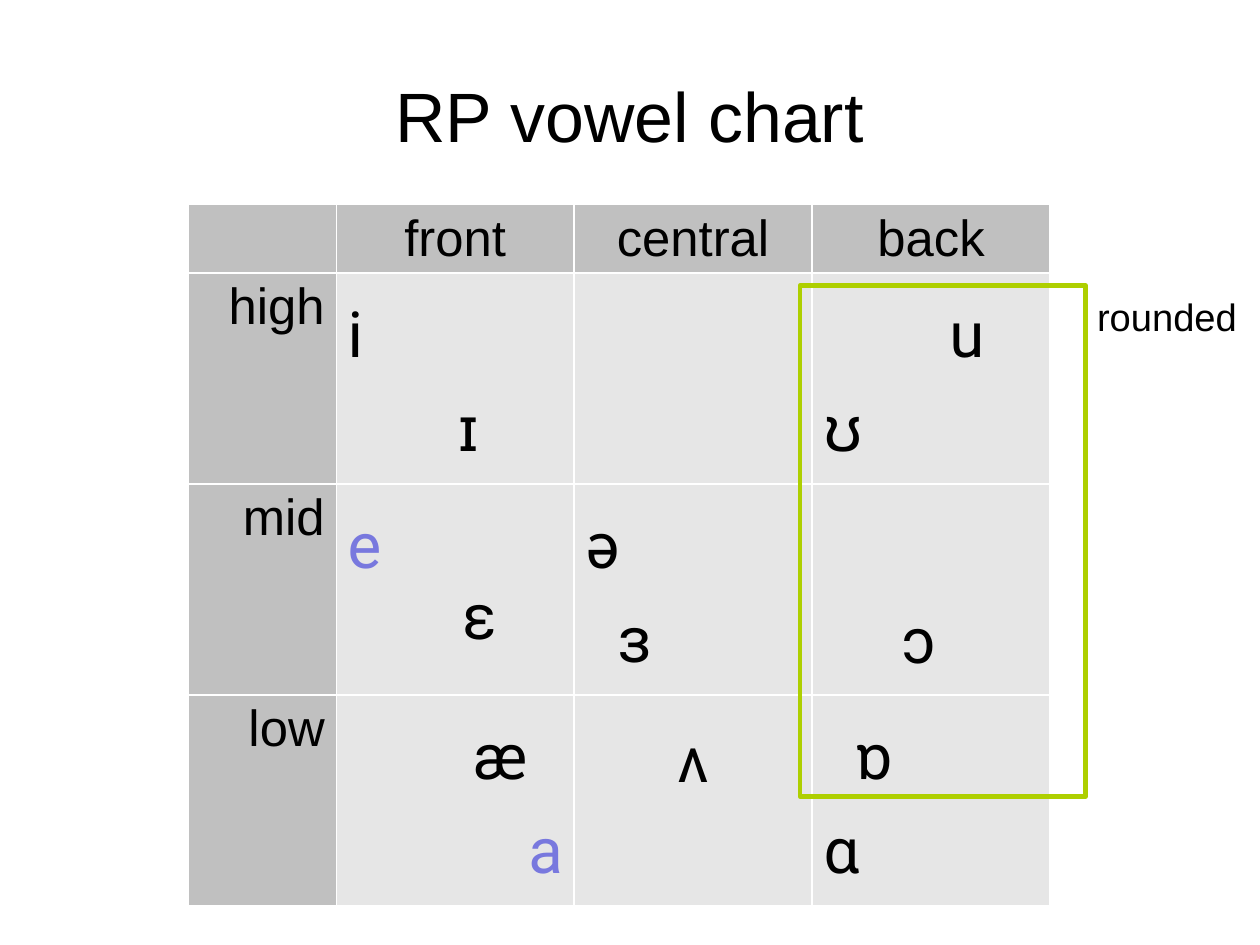
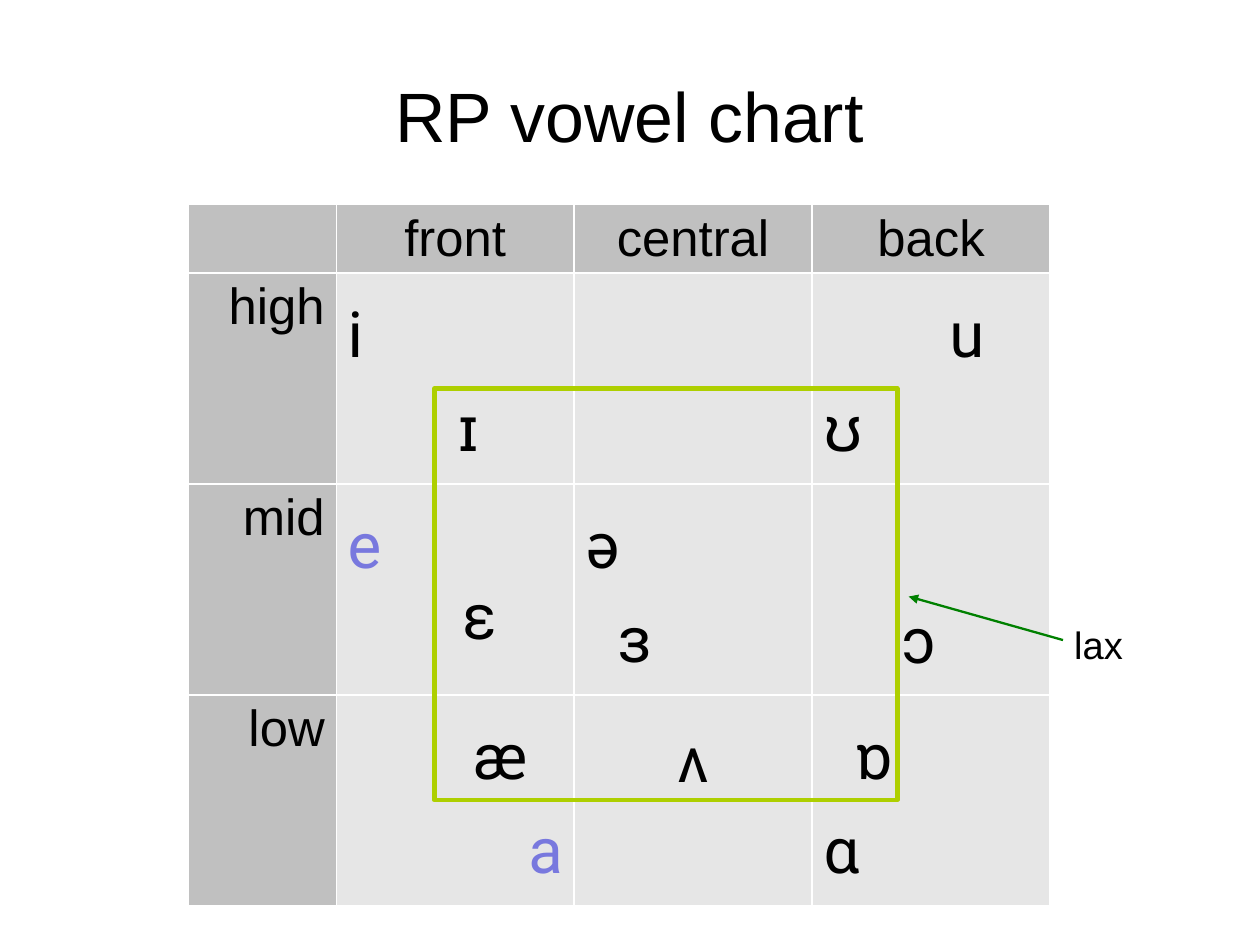
"""Build two vowel chart slides: rounded vowels and lax vowels."""
from dataclasses import dataclass

from lxml.etree import SubElement
from pptx import Presentation
from pptx.dml.color import RGBColor
from pptx.enum.shapes import MSO_CONNECTOR as CONN, MSO_SHAPE as SHAPE
from pptx.enum.text import MSO_ANCHOR as ANCHOR, PP_ALIGN as ALIGN
from pptx.oxml.ns import qn
from pptx.slide import Slide
from pptx.table import _Cell as TableCell
from pptx.text.text import TextFrame, _Paragraph as Paragraph
from pptx.util import Pt

COLORS = {
    "text": "000000",
    "vowel": "7878DE",
    "header": "C0C0C0",
    "body": "E6E6E6",
    "border": "FFFFFF",
    "frame": "AECF00",
    "arrow": "008000",
}
SANS, IPA = "Arial", "Roboto"
SLIDE_W, SLIDE_H = 793.7, 595.3
TABLE_X, TABLE_Y = 118.8, 129
COL_WIDTHS = [93] + [149.9] * 3
ROW_HEIGHTS = [43] + [132.9] * 3
STEP = 9.9
SIDE, PAD, HEAD_PAD = 7.2, 3.6, 5.76
LOWER_PAD = 63.1


@dataclass(frozen=True)
class Line:
    text: str
    indent: float = 0
    align: ALIGN = ALIGN.LEFT
    color: str = "text"
    spacing: float = 1.27
    font: str = IPA
    size: float = 40


@dataclass(frozen=True)
class Cell:
    lines: tuple[Line, ...] = ()
    top: float = PAD
    bottom: float = PAD
    fill: str = "body"


@dataclass(frozen=True)
class Box:
    x: float
    y: float
    w: float
    h: float


@dataclass(frozen=True)
class Label:
    text: str
    box: Box


@dataclass(frozen=True)
class Arrow:
    x1: float
    y1: float
    x2: float
    y2: float


@dataclass(frozen=True)
class ChartSlide:
    frame: Box
    label: Label
    arrow: Arrow | None = None


def sans(text: str, size: float, align: ALIGN = ALIGN.LEFT) -> Line:
    return Line(text, align=align, spacing=0.93, font=SANS, size=size)


def heading(text: str, align: ALIGN) -> Cell:
    return Cell((sans(text, 32, align),), HEAD_PAD, 0, "header")


def vowels(*lines: Line) -> Cell:
    return Cell(lines)


GRID = [
    [Cell(fill="header")] + [heading(t, ALIGN.CENTER) for t in ("front", "central", "back")],
    [
        heading("high", ALIGN.RIGHT),
        vowels(Line("i"), Line("ɪ", 7 * STEP)),
        Cell(),
        vowels(Line("u", 8 * STEP), Line("ʊ")),
    ],
    [
        heading("mid", ALIGN.RIGHT),
        vowels(Line("e", color="vowel"), Line("ɛ", 72.3, spacing=0.93)),
        vowels(Line("ə"), Line("ɜ", 2 * STEP)),
        Cell((Line("ɔ", 5 * STEP),), LOWER_PAD),
    ],
    [
        heading("low", ALIGN.RIGHT),
        vowels(Line("æ", 8 * STEP), Line("a", align=ALIGN.RIGHT, color="vowel")),
        Cell((Line("ʌ", align=ALIGN.CENTER),), HEAD_PAD),
        vowels(Line("ɒ", 2 * STEP), Line("ɑ")),
    ],
]
TITLE = sans("RP vowel chart", 44, ALIGN.CENTER)
TITLE_BOX = Box(39.6, 23.8, 714.2, 99.4)
SLIDES = [
    ChartSlide(Box(504, 180, 180, 321.8), Label("rounded", Box(684, 182.2, 108, 41.8))),
    ChartSlide(
        Box(273.6, 244.8, 291.6, 259.2),
        Label("lax", Box(669.6, 388.8, 52, 172.8)),
        Arrow(669.6, 403.2, 572.4, 375.8),
    ),
]


def rgb(name: str) -> RGBColor:
    return RGBColor.from_string(COLORS[name])


def write_line(p: Paragraph, line: Line) -> None:
    p.text = line.text
    p.alignment = line.align
    p.line_spacing = line.spacing
    p.font.name = line.font
    p.font.size = Pt(line.size)
    p.font.color.rgb = rgb(line.color)
    if line.indent:
        p._p.get_or_add_pPr().set("marL", str(Pt(line.indent)))


def write_lines(tf: TextFrame, lines: tuple[Line, ...]) -> None:
    for i, line in enumerate(lines):
        write_line(tf.add_paragraph() if i else tf.paragraphs[0], line)


def set_borders(cell: TableCell) -> None:
    tc_pr = cell._tc.get_or_add_tcPr()
    for tag in ("a:lnL", "a:lnR", "a:lnT", "a:lnB"):
        ln = SubElement(tc_pr, qn(tag), w=str(Pt(1)))
        fill = SubElement(ln, qn("a:solidFill"))
        SubElement(fill, qn("a:srgbClr"), val=COLORS["border"])


def fill_cell(cell: TableCell, data: Cell) -> None:
    set_borders(cell)
    cell.fill.solid()
    cell.fill.fore_color.rgb = rgb(data.fill)
    cell.margin_left = cell.margin_right = Pt(SIDE)
    cell.margin_top, cell.margin_bottom = Pt(data.top), Pt(data.bottom)
    write_lines(cell.text_frame, data.lines)


def add_vowel_table(s: Slide) -> None:
    table = s.shapes.add_table(
        len(ROW_HEIGHTS), len(COL_WIDTHS), Pt(TABLE_X), Pt(TABLE_Y),
        Pt(sum(COL_WIDTHS)), Pt(sum(ROW_HEIGHTS)),
    ).table
    table.first_row = table.horz_banding = False
    for col, width in zip(table.columns, COL_WIDTHS):
        col.width = Pt(width)
    for row, height, cells in zip(table.rows, ROW_HEIGHTS, GRID):
        row.height = Pt(height)
        for cell, data in zip(row.cells, cells):
            fill_cell(cell, data)


def place(box: Box) -> tuple[Pt, ...]:
    return Pt(box.x), Pt(box.y), Pt(box.w), Pt(box.h)


def add_text(s: Slide, box: Box, line: Line) -> TextFrame:
    tf = s.shapes.add_textbox(*place(box)).text_frame
    write_line(tf.paragraphs[0], line)
    return tf


def add_title(s: Slide) -> None:
    tf = add_text(s, TITLE_BOX, TITLE)
    tf.word_wrap = True
    tf.vertical_anchor = ANCHOR.MIDDLE
    tf.margin_left = tf.margin_right = tf.margin_bottom = 0
    tf.margin_top = Pt(2.9)


def add_frame(s: Slide, box: Box) -> None:
    sp = s.shapes.add_shape(SHAPE.RECTANGLE, *place(box))
    sp.shadow.inherit = False
    sp.fill.background()
    sp.line.color.rgb = rgb("frame")
    sp.line.width = Pt(2.89)


def add_label(s: Slide, label: Label) -> None:
    tf = add_text(s, label.box, sans(label.text, 24))
    tf.word_wrap = True
    tf.margin_left, tf.margin_right = Pt(SIDE), 0
    tf.margin_top, tf.margin_bottom = Pt(5), Pt(PAD)


def add_arrow(s: Slide, arrow: Arrow) -> None:
    sp = s.shapes.add_connector(
        CONN.STRAIGHT, Pt(arrow.x1), Pt(arrow.y1), Pt(arrow.x2), Pt(arrow.y2)
    )
    sp.line.color.rgb = rgb("arrow")
    sp.line.width = Pt(1.45)
    SubElement(sp.line._get_or_add_ln(), qn("a:tailEnd"), type="triangle")
    SubElement(sp._element.spPr, qn("a:effectLst"))


def main() -> None:
    prs = Presentation()
    prs.slide_width, prs.slide_height = Pt(SLIDE_W), Pt(SLIDE_H)
    for chart in SLIDES:
        s = prs.slides.add_slide(prs.slide_layouts[6])
        add_vowel_table(s)
        add_title(s)
        add_frame(s, chart.frame)
        if chart.arrow:
            add_arrow(s, chart.arrow)
        add_label(s, chart.label)
    prs.save("out.pptx")


if __name__ == "__main__":
    main()
